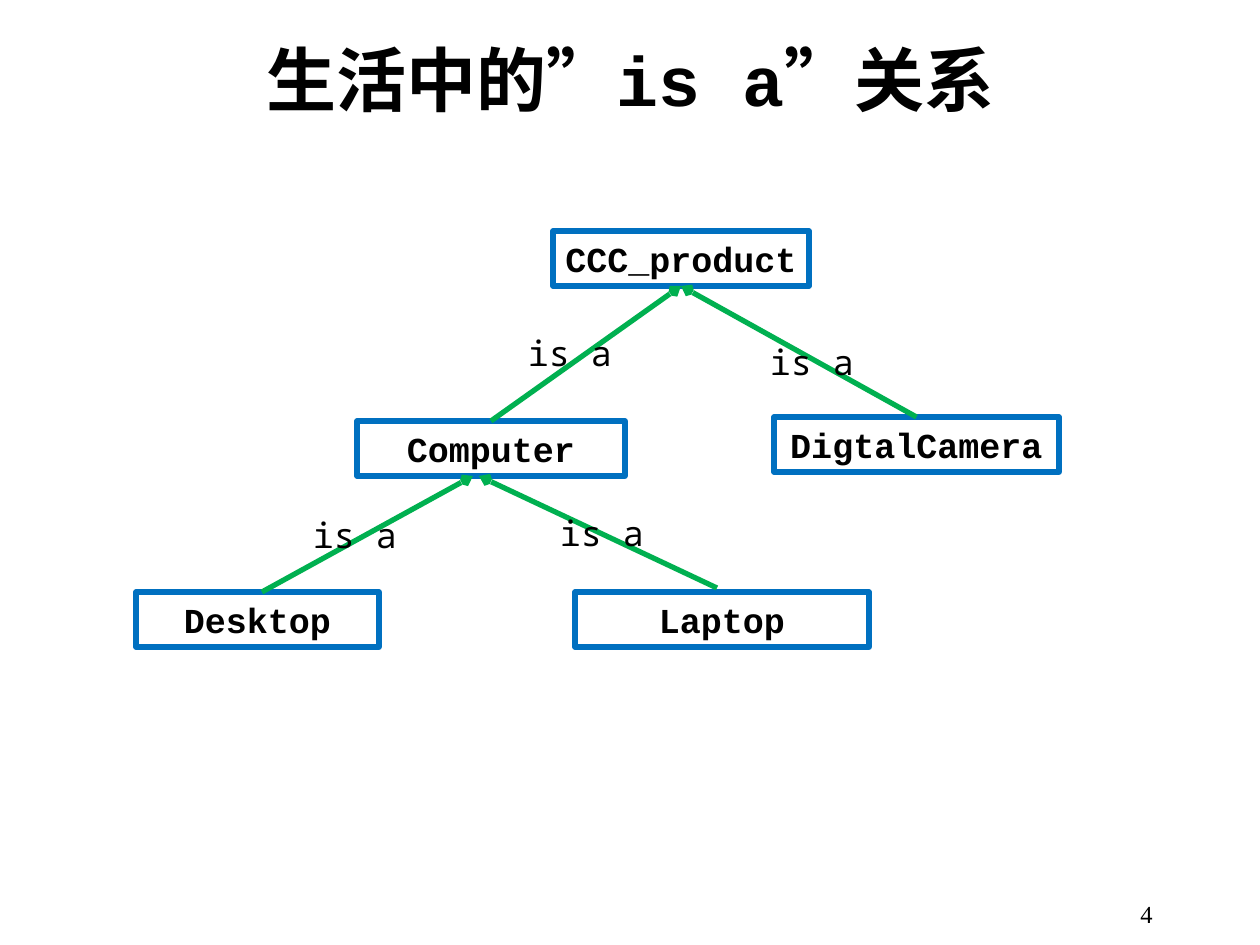
import pptx
import pptx.util
import pptx.dml.color
import pptx.enum.shapes
import pptx.enum.text
import pptx.oxml.ns
from lxml import etree

ALIGN = pptx.enum.text.PP_ALIGN
PX = 914400 // 126
TOP, BOTTOM = 0, 2  # connection sites of a rectangle

THEME = {
    "text": "000000", "box": "0070C0", "arrow": "00B050",
    "code": "Courier New", "label": "Noto Sans Mono", "number": "Times New Roman",
    "title_size": 40, "body_size": 20, "number_size": 14, "line": 3,
}

# Content: places are left, top, width, height in px
TITLE = ("生活中的”is a”关系", (95, 4, 1071, 149))
NUMBER = ("4", (903, 882, 262, 63))
BOX_HEIGHT = 55
CLASSES = {  # name: left, top, width
    "CCC_product": (553, 231, 256),
    "Computer": (357, 421, 268),
    "DigtalCamera": (774, 417, 285),
    "Desktop": (136, 592, 243),
    "Laptop": (575, 592, 294),
}
RELATION = "is a"
LABEL_SIZE = (112, 55)
# child, parent, label corner, free end points (None where joined to the boxes)
RELATIONS = [
    ("Computer", "CCC_product", (514, 325), None),
    ("Desktop", "Computer", (299, 507), ((262, 592), (473, 476))),
    ("DigtalCamera", "CCC_product", (756, 334), None),
    ("Laptop", "Computer", (546, 505), ((717, 588), (479, 476))),
]


def emu(*lengths):
    return [length * PX for length in lengths]


def color(name):
    return pptx.dml.color.RGBColor.from_string(THEME[name])


def write(shape, text, font, size, bold=False, align=ALIGN.CENTER):
    frame = shape.text_frame
    frame.text = text
    frame.word_wrap = False
    frame.vertical_anchor = pptx.enum.text.MSO_ANCHOR.MIDDLE
    paragraph = frame.paragraphs[0]
    paragraph.alignment = align
    run_font = paragraph.runs[0].font
    run_font.name = THEME[font]
    run_font.size = pptx.util.Pt(THEME[size])
    run_font.bold = bold
    run_font.color.rgb = color("text")


def add_text(slide, text, place, *style, **options):
    write(slide.shapes.add_textbox(*emu(*place)), text, *style, **options)


def add_class(slide, name, left, top, width):
    box = slide.shapes.add_shape(pptx.enum.shapes.MSO_SHAPE.RECTANGLE,
                                 *emu(left, top, width, BOX_HEIGHT))
    box.shadow.inherit = False
    box.fill.background()
    box.line.color.rgb = color("box")
    box.line.width = pptx.util.Pt(THEME["line"])
    write(box, name, "code", "body_size", bold=True)
    return box


def add_arrow(slide, child, parent, ends):
    start, end = ends or ((0, 0), (0, 0))
    arrow = slide.shapes.add_connector(pptx.enum.shapes.MSO_CONNECTOR.STRAIGHT,
                                       *emu(*start, *end))
    if ends is None:
        arrow.begin_connect(child, TOP)
        arrow.end_connect(parent, BOTTOM)
    arrow.line.color.rgb = color("arrow")
    arrow.line.width = pptx.util.Pt(THEME["line"])
    qn = pptx.oxml.ns.qn
    etree.SubElement(arrow.line._get_or_add_ln(), qn("a:tailEnd"),
                     type="arrow", w="sm", len="sm")
    etree.SubElement(arrow._element.spPr, qn("a:effectLst"))


def main():
    presentation = pptx.Presentation()
    presentation.slide_width, presentation.slide_height = emu(1260, 945)
    slide = presentation.slides.add_slide(presentation.slide_layouts[6])

    # Title and slide number
    add_text(slide, *TITLE, "code", "title_size", bold=True)
    add_text(slide, *NUMBER, "number", "number_size", align=ALIGN.RIGHT)

    # Class boxes
    boxes = {name: add_class(slide, name, *place) for name, place in CLASSES.items()}

    # Relations: an arrow from child to parent, with its label
    for child, parent, corner, ends in RELATIONS:
        add_arrow(slide, boxes[child], boxes[parent], ends)
        add_text(slide, RELATION, corner + LABEL_SIZE, "label", "body_size")

    presentation.save("out.pptx")


if __name__ == "__main__":
    main()
